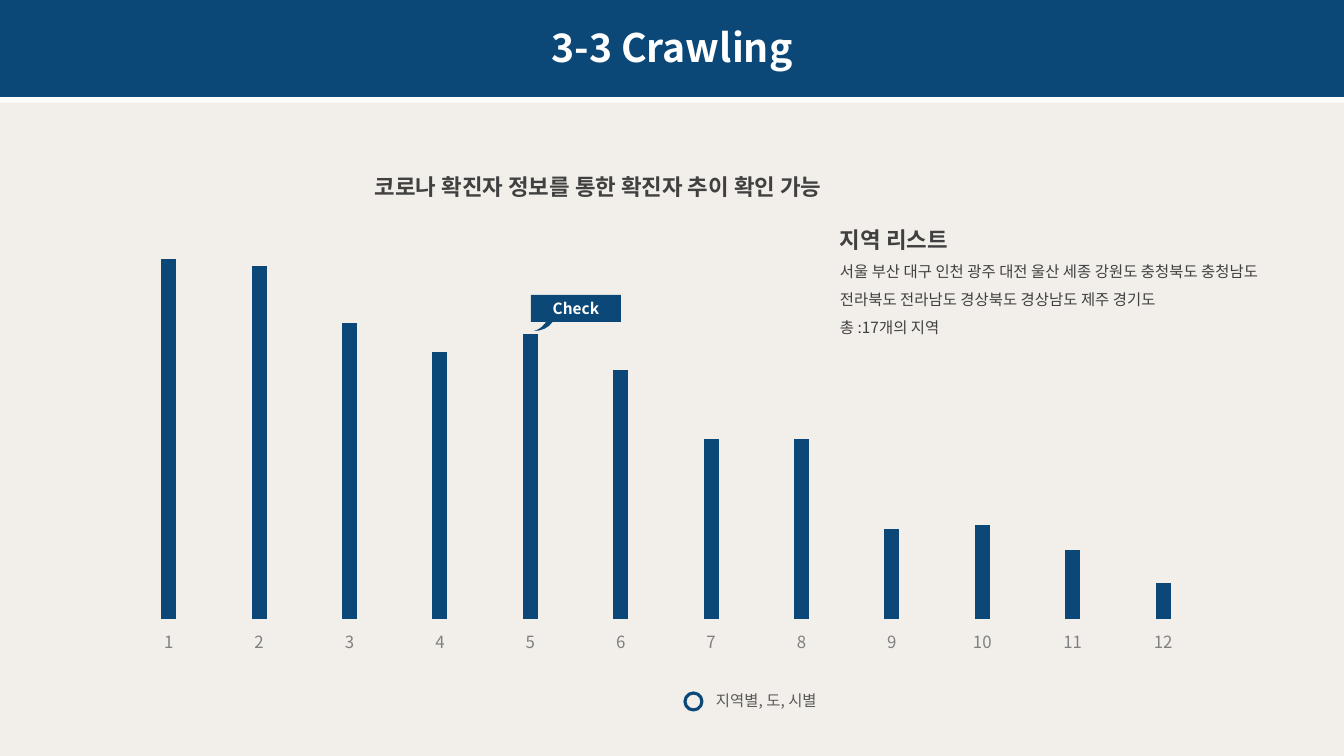
from lxml.etree import SubElement
from pptx import Presentation
from pptx.chart.data import CategoryChartData
from pptx.dml.color import RGBColor
from pptx.enum.chart import XL_CHART_TYPE, XL_TICK_LABEL_POSITION, XL_TICK_MARK
from pptx.enum.shapes import MSO_SHAPE
from pptx.enum.text import MSO_ANCHOR, MSO_AUTO_SIZE, PP_ALIGN
from pptx.oxml import parse_xml
from pptx.oxml.ns import nsdecls, qn
from pptx.util import Pt

PX = 914400 / 100.8
FONT = "Noto Sans CJK KR"
NAVY, WHITE, DARK = "0B4877", "FFFFFF", "404040"


def rgb(value):
    return RGBColor.from_string(value)


def write(sp, lines, wrap=True, **formats):
    tf = sp.text_frame
    tf.word_wrap = wrap
    for i, (text, size, color, bold) in enumerate(lines):
        p = tf.paragraphs[0] if i == 0 else tf.add_paragraph()
        for name, value in formats.items():
            setattr(p, name, value)
        r = p.add_run()
        r.text = text
        for name, value in {"name": FONT, "size": Pt(size), "bold": bold}.items():
            setattr(r.font, name, value)
        r.font.color.rgb = rgb(color)
        for tag in ("a:ea", "a:cs"):
            SubElement(r.font._element, qn(tag)).set("typeface", FONT)
    return tf


prs = Presentation()
prs.slide_width, prs.slide_height = round(1344 * PX), round(756 * PX)
s = prs.slides.add_slide(prs.slide_layouts[6])
s.background.fill.solid()
s.background.fill.fore_color.rgb = rgb("F2EFEA")

data = CategoryChartData()
data.categories = [str(n) for n in range(1, 13)]
data.add_series("Series 1", [100, 98, 82, 74, 79, 69, 50, 50, 25, 26, 19, 10])
box = [round(v * PX) for v in (101, 204, 1130, 456)]
chart = s.shapes.add_chart(XL_CHART_TYPE.COLUMN_CLUSTERED, *box, data).chart
chart.has_legend = chart.has_title = False
chart.font.name = FONT
chart.font.size = Pt(10)
chart.font.color.rgb = rgb("D9D9D9")
plot = chart.plots[0]
for name, value in {"gap_width": 500, "overlap": -65, "vary_by_categories": False}.items():
    setattr(plot, name, value)
fill = plot.series[0].format.fill
fill.solid()
fill.fore_color.rgb = rgb(NAVY)
cat, val = chart.category_axis, chart.value_axis
cat.major_tick_mark = XL_TICK_MARK.NONE
cat.tick_label_position = XL_TICK_LABEL_POSITION.LOW
cat.format.line.fill.background()
cat.tick_labels.font.name = FONT
cat.tick_labels.font.size = Pt(12)
cat.tick_labels.font.color.rgb = rgb("808080")
axis = {"visible": False, "has_major_gridlines": False, "minimum_scale": 0, "maximum_scale": 100}
for name, value in axis.items():
    setattr(val, name, value)
val.tick_labels.number_format = "0%"
val.tick_labels.number_format_is_linked = False
area = chart._chartSpace.chart.plotArea
for old in area.findall(qn("c:layout")):
    area.remove(old)
area.insert(0, parse_xml(
    f'<c:layout {nsdecls("c")}><c:manualLayout><c:layoutTarget val="inner"/>'
    '<c:xMode val="edge"/><c:yMode val="edge"/><c:x val="0.02"/><c:y val="0.12"/>'
    '<c:w val="0.96"/><c:h val="0.79"/></c:manualLayout></c:layout>'))

callout = s.shapes.add_group_shape()
shapes = {}
for name, parent, kind, box, color in (
    ("header", s, MSO_SHAPE.RECTANGLE, (0, -4, 1344, 101), NAVY),
    ("ring", s, MSO_SHAPE.OVAL, (685, 693, 17, 17), None),
    ("tail", callout, MSO_SHAPE.MOON, (534, 297, 21, 34), NAVY),
    ("check", callout, MSO_SHAPE.RECTANGLE, (531, 295, 90, 27), NAVY),
):
    sp = parent.shapes.add_shape(kind, *[round(v * PX) for v in box])
    sp.shadow.inherit = False
    sp.line.fill.background()
    if color:
        sp.fill.solid()
        sp.fill.fore_color.rgb = rgb(color)
    else:
        sp.fill.background()
    shapes[name] = sp

shapes["ring"].line.color.rgb = rgb(NAVY)
shapes["ring"].line.width = Pt(2.25)
shapes["tail"].adjustments[0] = 0.32
shapes["tail"]._element.spPr.find(qn("a:xfrm")).set("flipH", "1")
shapes["header"]._element.spPr.find(qn("a:effectLst")).append(parse_xml(
    f'<a:outerShdw {nsdecls("a")} blurRad="0" dist="{Pt(4)}" dir="5400000" algn="t" '
    f'rotWithShape="0"><a:srgbClr val="{WHITE}"/></a:outerShdw>'))
for name, text, size, wrap in (("header", "3-3 Crawling", 28, True), ("check", "Check", 11, False)):
    tf = write(shapes[name], [(text, size, WHITE, True)], wrap, alignment=PP_ALIGN.CENTER)
    tf.vertical_anchor = MSO_ANCHOR.MIDDLE

regions = ("서울 부산 대구 인천 광주 대전 울산 세종 강원도 충청북도 "
           "충청남도 전라북도 전라남도 경상북도 경상남도 제주 경기도")
for box, lines, wrap, spacing in (
    ((706, 686, 137, 29), [("지역별, 도, 시별", 11, "595959", False)], False, 1.0),
    ((365, 155, 598, 76), [("코로나 확진자 정보를 통한 확진자 추이 확인 가능", 16, DARK, True)], True, 1.5),
    ((830, 208, 441, 131), [("지역 리스트", 16, DARK, True), (regions, 11, DARK, False),
                            ("총 :17개의 지역", 11, DARK, False)], True, 1.5),
):
    sp = s.shapes.add_textbox(*[round(v * PX) for v in box])
    tf = write(sp, lines, wrap, line_spacing=spacing)
    tf.auto_size = MSO_AUTO_SIZE.SHAPE_TO_FIT_TEXT

prs.save("out.pptx")
